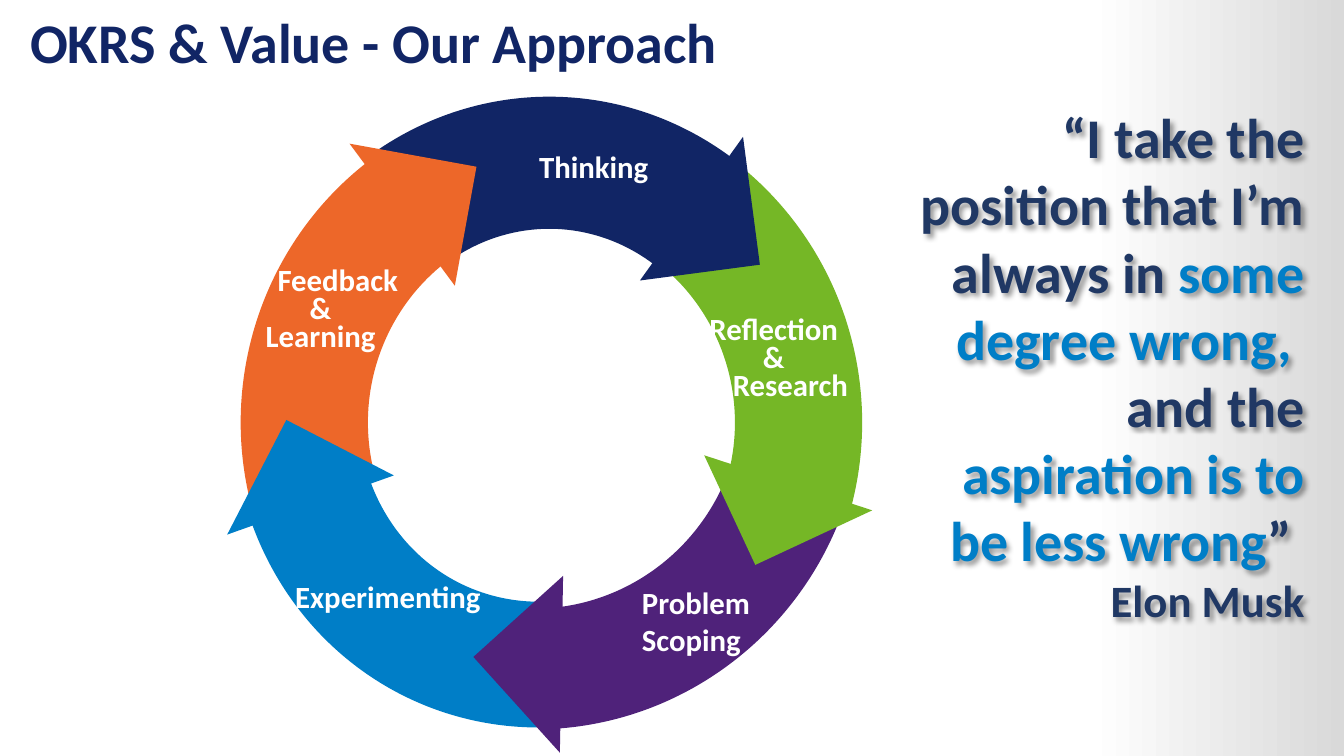
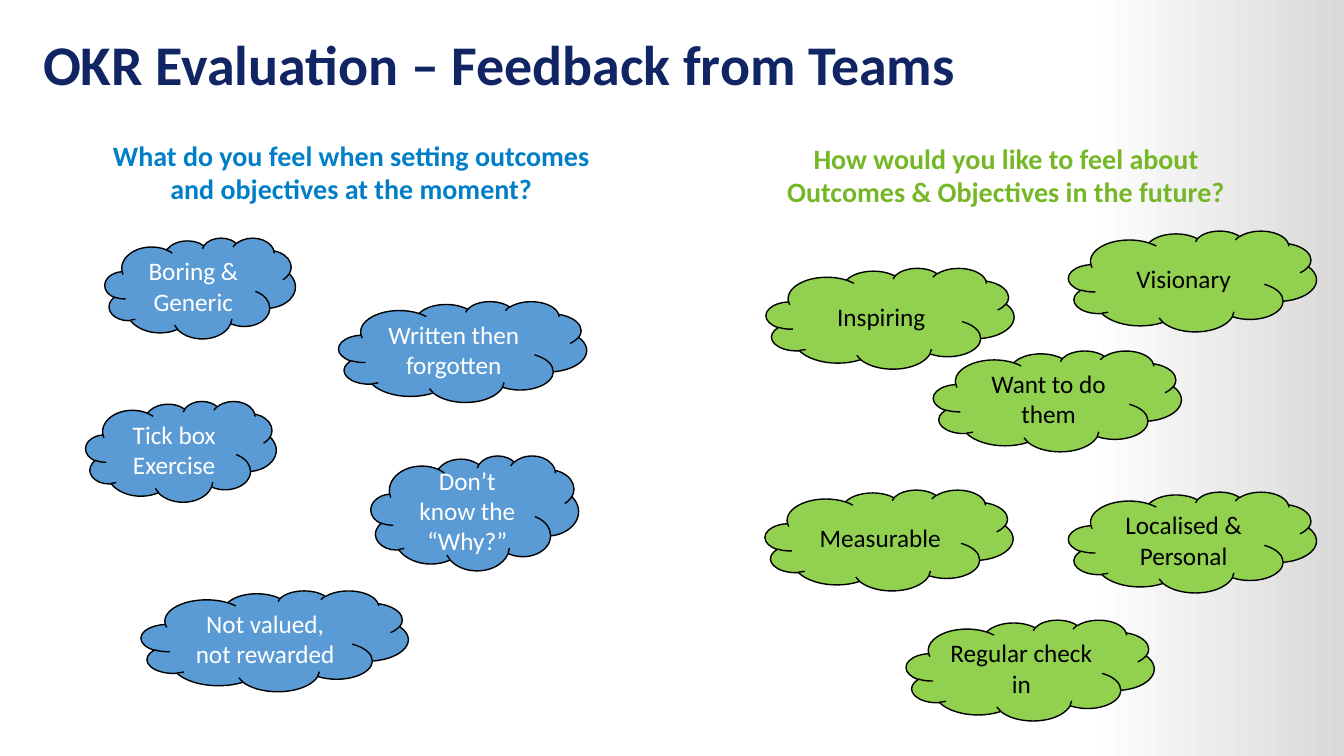
from lxml import etree
from pptx import Presentation
from pptx.dml.color import RGBColor
from pptx.enum.shapes import MSO_SHAPE
from pptx.enum.text import MSO_ANCHOR, PP_ALIGN
from pptx.oxml.ns import qn
from pptx.util import Inches, Pt

ARC, TRIANGLE, CLOUD = MSO_SHAPE.BLOCK_ARC, MSO_SHAPE.RIGHT_TRIANGLE, MSO_SHAPE.CLOUD
LEFT, CENTER, RIGHT = PP_ALIGN.LEFT, PP_ALIGN.CENTER, PP_ALIGN.RIGHT
MIDDLE = MSO_ANCHOR.MIDDLE

# Shared palette and type
FONT = "Calibri"
NAVY, BLUE, GREEN, ORANGE, PURPLE = "112565", "007EC7", "75B726", "ED6729", "4F227A"
INK, WHITE, BLACK, GREY = "203864", "FFFFFF", "000000", "D9D9D9"
SKY, LIME = "5B9BD5", "92D050"
BLANK_LAYOUT = 6


def grid(units):
    """Length of a number of grid columns or rows, ten to the inch."""
    return Inches(units / 10)


def color(hex_string):
    return RGBColor.from_string(hex_string)


class Deck:
    """Holds the shared style and the current slide."""

    def __init__(self):
        self.presentation = Presentation()
        self.presentation.slide_width = grid(133.33)
        self.presentation.slide_height = grid(75)
        self.slide = None
        self.set_background()

    def set_background(self):
        fill = self.presentation.slide_master.background.fill
        fill.gradient()
        fill.gradient_angle = 0
        for stop, position, shade in zip(fill.gradient_stops, (0.81, 1), (WHITE, GREY)):
            stop.position = position
            stop.color.rgb = color(shade)

    def new_slide(self, title, left, top):
        layout = self.presentation.slide_layouts[BLANK_LAYOUT]
        self.slide = self.presentation.slides.add_slide(layout)
        self.text((left, top, 123.9, 7.7), [title], 40, NAVY)

    def shape(self, kind, box, fill, rotation=0, line=None):
        shape = self.slide.shapes.add_shape(kind, *map(grid, box))
        shape.shadow.inherit = False
        shape.rotation = rotation
        shape.fill.solid()
        shape.fill.fore_color.rgb = color(fill)
        if line:
            shape.line.color.rgb = color(line)
            shape.line.width = Pt(1)
        else:
            shape.line.fill.background()
        return shape

    def arc(self, box, fill, rotation, start, end, thickness):
        """Ring segment between two angles in degrees."""
        shape = self.shape(ARC, box, fill, rotation)
        # Angles are stored as 60000ths, adjustments as 100000ths
        for index, value in enumerate((start * 0.6, end * 0.6, thickness)):
            shape.adjustments[index] = value

    def style(self, paragraph, size, ink, bold, align):
        paragraph.alignment = align
        paragraph.font.name = FONT
        paragraph.font.size = Pt(size)
        paragraph.font.bold = bold
        paragraph.font.color.rgb = color(ink)

    def text(self, box, lines, size, ink, align=LEFT, spacing=None, indents=()):
        """Bold text box with one paragraph per line; indents are grid columns."""
        shape = self.slide.shapes.add_textbox(*map(grid, box))
        frame = shape.text_frame
        frame.word_wrap = True
        for index, line in enumerate(lines):
            paragraph = frame.add_paragraph() if index else frame.paragraphs[0]
            paragraph.text = line
            if spacing:
                paragraph.line_spacing = Pt(spacing)
            if indents and indents[index]:
                paragraph._p.get_or_add_pPr().set("marL", str(grid(indents[index])))
            self.style(paragraph, size, ink, True, align)
        return shape

    def label(self, box, lines, **options):
        self.text(box, lines, 22, WHITE, **options)

    def quote(self, box, lines, author):
        """Right-aligned quote of coloured runs, with a soft text shadow."""
        shape = self.text(box, [""] * len(lines) + [author], 40, INK, RIGHT)
        paragraphs = shape.text_frame.paragraphs
        for paragraph, runs in zip(paragraphs, lines):
            for words, ink in runs:
                run = paragraph.add_run()
                run.text = words
                run.font.color.rgb = color(ink)
        paragraphs[-1].font.size = Pt(32)
        effects = etree.SubElement(shape._element.spPr, qn("a:effectLst"))
        shadow = etree.SubElement(effects, qn("a:outerShdw"), blurRad="50800",
                                  dist="38100", dir="2700000", algn="tl", rotWithShape="0")
        tint = etree.SubElement(shadow, qn("a:srgbClr"), val=BLACK)
        etree.SubElement(tint, qn("a:alpha"), val="40000")

    def cloud(self, left, top, words, fill, ink, width=24.6, height=10):
        shape = self.shape(CLOUD, (left, top, width, height), fill, line=BLACK)
        frame = shape.text_frame
        frame.word_wrap = True
        frame.vertical_anchor = MIDDLE
        frame.text = words
        self.style(frame.paragraphs[0], 18, ink, False, CENTER)


def build_approach(deck):
    deck.new_slide("OKRS & Value - Our Approach", 2, 0.3)

    # Ring segments: box, colour, rotation, start, end, thickness
    for segment in (
        ((23.3, 7.1, 62.4, 65.3), BLUE, 203.8, 246.3, 313.77, 0.2),
        ((21.5, 8.8, 64.5, 63.1), PURPLE, 126, 247.52, 321.04, 0.19),
        ((23.3, 9.6, 62.4, 65.3), NAVY, 0, 236.57, 304.72, 0.21),
        ((21.7, 10.1, 64.5, 63.1), GREEN, 78.6, 226.85, 298.17, 0.2),
        ((23.2, 10.1, 64.5, 63.1), ORANGE, 280.8, 241.92, 315.01, 0.2),
    ):
        deck.arc(*segment)

    # Arrowheads
    for left, top, fill, rotation in (
        (62.2, 14.7, NAVY, 262.5),
        (71.8, 41.9, GREEN, 335),
        (49.3, 59.9, PURPLE, 47.9),
        (24.4, 44.1, BLUE, 117.3),
        (33.5, 15.3, ORANGE, 190.3),
    ):
        deck.shape(TRIANGLE, (left, top, 12.8, 12), fill, rotation)

    # Segment labels
    deck.label((52.5, 14.2, 31.5, 4.7), ["Thinking"])
    deck.label((67.5, 31.1, 19.2, 9.5), ["Reflection ", "& ", "Research "],
               align=CENTER, spacing=20, indents=(0, 0, 3.3))
    deck.label((62.7, 57.4, 14.8, 8.4), ["Problem Scoping"])
    deck.label((28.3, 56.8, 23, 4.7), ["Experimenting"])
    deck.label((22.2, 26.3, 19.2, 9.5), ["Feedback", "&", "Learning"],
               align=CENTER, spacing=20, indents=(3.4, 0, 0))

    # Quote
    deck.quote((89.2, 9.7, 41.2, 54.9), (
        (("“I take the position that I’m always in ", INK), ("some degree wrong, ", BLUE)),
        (("and the ", INK), ("aspiration is to be less wrong", BLUE), ("” ", INK)),
    ), "Elon Musk")


def build_feedback(deck):
    deck.new_slide("OKR Evaluation – Feedback from Teams", 3.3, 2.4)

    # Questions
    deck.text((8.5, 13.2, 52.7, 7.7),
              ["What do you feel when setting outcomes and objectives at the moment?"],
              20, BLUE, CENTER)
    deck.text((74.7, 13.5, 50.2, 7.7),
              ["How would you like to feel about Outcomes & Objectives in the future?"],
              20, GREEN, CENTER)

    # Feelings today
    for left, top, words, *size in (
        (10.4, 23.6, "Boring & Generic", 18.9),
        (33.6, 29.9, "Written then forgotten"),
        (8.5, 39.8, "Tick box Exercise", 18.9),
        (36.8, 45.2, "Don’t know the “Why?”", 20.6, 11.4),
        (14, 58.6, "Not valued, not rewarded", 26.5),
    ):
        deck.cloud(left, top, words, SKY, WHITE, *size)

    # Feelings wanted
    for left, top, words in (
        (76, 26.6, "Inspiring"),
        (106, 22.9, "Visionary"),
        (75.9, 48.6, "Measurable"),
        (106, 48.8, "Localised & Personal"),
        (92.6, 34.8, "Want to do them"),
        (89.9, 61.5, "Regular check in"),
    ):
        deck.cloud(left, top, words, LIME, BLACK)


def main():
    deck = Deck()
    build_approach(deck)
    build_feedback(deck)
    deck.presentation.save("out.pptx")


if __name__ == "__main__":
    main()
